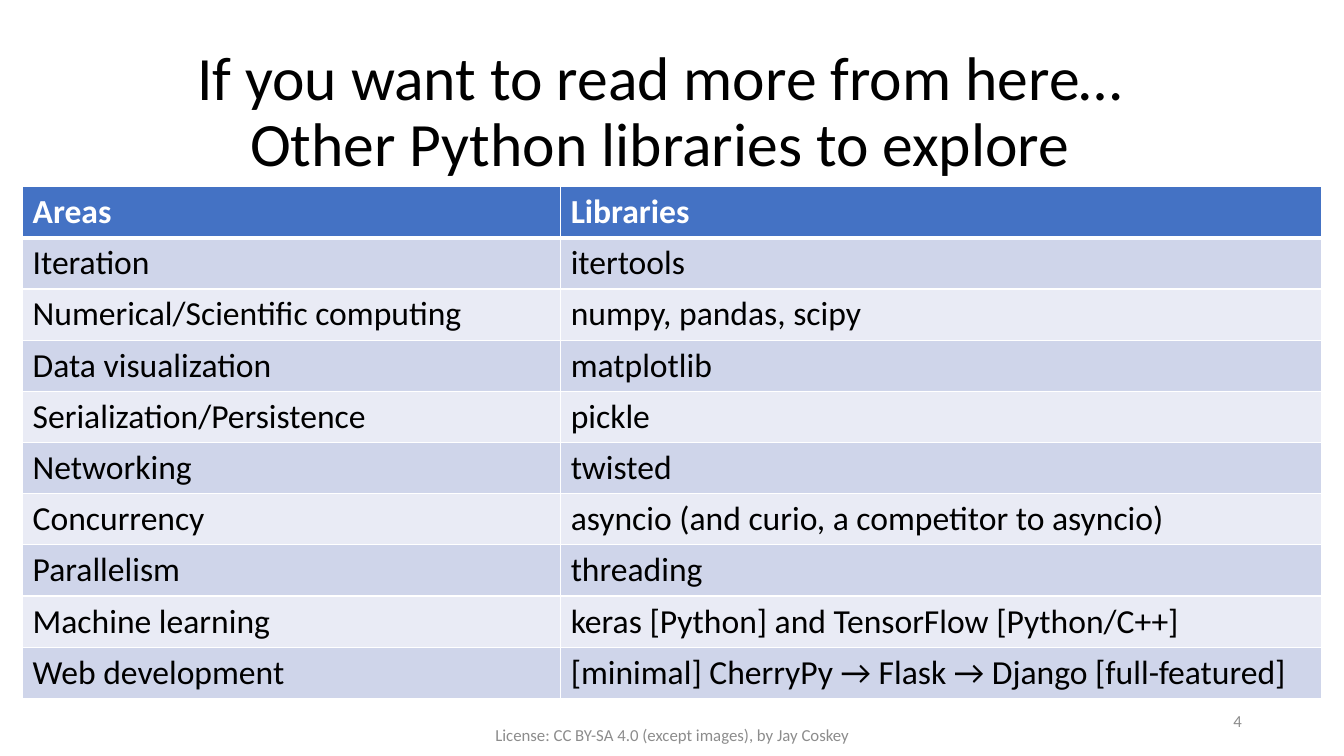
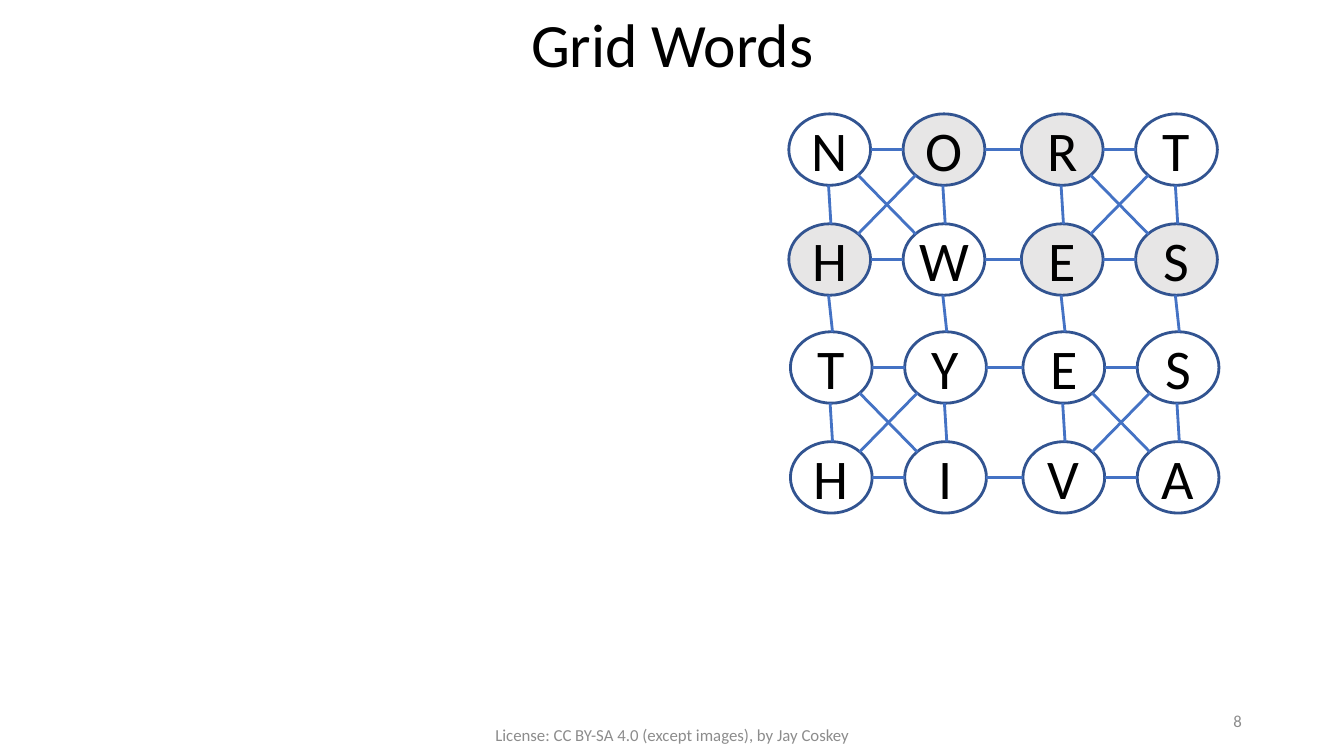
from dataclasses import dataclass
from itertools import product
from typing import Any

from lxml.etree import SubElement
from pptx import Presentation
from pptx.dml.color import RGBColor
from pptx.enum.shapes import MSO_CONNECTOR as Connector, MSO_SHAPE as Preset
from pptx.enum.text import MSO_ANCHOR as Anchor, MSO_AUTO_SIZE as AutoSize, PP_ALIGN as Align
from pptx.oxml.ns import qn
from pptx.util import Cm, Pt

FONT = "Calibri"
BLACK, WHITE, GRAY = "000000", "FFFFFF", "8C8C8C"
BLUE, DARK_BLUE, HIGHLIGHT = "4472C4", "325491", "E7E6E6"
BANDS = ("E9EBF5", "CFD5EA")

FRAME_FORMAT = {"word_wrap": True, "auto_size": AutoSize.NONE, "vertical_anchor": Anchor.MIDDLE}
LETTER_FORMAT = {
    "word_wrap": False,
    "margin_left": 0,
    "margin_right": 0,
    "margin_top": 0,
    "margin_bottom": 0,
}

LICENSE = "License: CC BY-SA 4.0 (except images), by Jay Coskey"

LIBRARIES = (
    ("Areas", "Libraries"),
    ("Iteration", "itertools"),
    ("Numerical/Scientific computing", "numpy, pandas, scipy"),
    ("Data visualization", "matplotlib"),
    ("Serialization/Persistence", "pickle"),
    ("Networking", "twisted"),
    ("Concurrency", "asyncio (and curio, a competitor to asyncio)"),
    ("Parallelism", "threading"),
    ("Machine learning", "keras [Python] and TensorFlow [Python/C++]"),
    ("Web development", "[minimal] CherryPy → Flask → Django [full-featured]"),
)
COLUMN_WIDTHS = (13.56, 19.18)
ROW_HEIGHT = 1.29

GRID_LETTERS = ("NORT", "HWES", "TYES", "HIVA")
SHADED_CELLS = {(0, 1), (0, 2), (1, 0), (1, 2), (1, 3)}
GRID_LEFTS = (19.88, 22.76, 25.74, 28.62)
GRID_TOPS = (2.87, 5.64, 8.36, 11.13)
LOWER_ROW_SHIFT = 0.04
NODE_WIDTH, NODE_HEIGHT = 2.06, 1.8
DIAGONAL_X, DIAGONAL_Y = 0.71, 0.64
SLANT = 0.03


@dataclass(frozen=True)
class Box:
    left: float
    top: float
    width: float
    height: float

    def lengths(self) -> tuple[Cm, Cm, Cm, Cm]:
        return Cm(self.left), Cm(self.top), Cm(self.width), Cm(self.height)


@dataclass(frozen=True)
class Node:
    letter: str
    x: float
    y: float
    shaded: bool


@dataclass(frozen=True)
class Link:
    start_x: float
    start_y: float
    end_x: float
    end_y: float


def color(value: str) -> RGBColor:
    return RGBColor.from_string(value)


def apply_format(target: Any, values: dict[str, Any]) -> None:
    for name, value in values.items():
        setattr(target, name, value)


def write_text(
    frame: Any,
    lines: tuple[str, ...],
    size: float,
    ink: str = BLACK,
    align: Align = Align.CENTER,
    bold: bool = False,
    line_spacing: float = 1.0,
) -> None:
    paragraph = frame.paragraphs[0]
    apply_format(paragraph, {"alignment": align, "line_spacing": line_spacing})
    for index, line in enumerate(lines):
        if index:
            paragraph.add_line_break()
        run = paragraph.add_run()
        run.text = line
        apply_format(run.font, {"name": FONT, "size": Pt(size), "bold": bold})
        run.font.color.rgb = color(ink)


def add_footer(slide: Any, box: Box, text: str, align: Align) -> None:
    frame = slide.shapes.add_textbox(*box.lengths()).text_frame
    apply_format(frame, FRAME_FORMAT)
    write_text(frame, (text,), 12, GRAY, align)


def add_slide(presentation: Any, title_lines: tuple[str, ...], title_box: Box, number: str) -> Any:
    slide = presentation.slides.add_slide(presentation.slide_layouts[5])
    title = slide.shapes.title
    for name, length in zip(("left", "top", "width", "height"), title_box.lengths()):
        setattr(title, name, length)
    apply_format(title.text_frame, FRAME_FORMAT)
    write_text(title.text_frame, title_lines, 44, line_spacing=0.9)
    add_footer(slide, Box(23.93, 17.65, 7.62, 1.02), number, Align.RIGHT)
    add_footer(slide, Box(11.23, 18.01, 11.43, 1.02), LICENSE, Align.CENTER)
    return slide


def set_borders(cell: Any, widths: dict[str, float]) -> None:
    properties = cell._tc.get_or_add_tcPr()
    for side, width in widths.items():
        border = SubElement(properties, qn(f"a:ln{side}"), w=str(Pt(width)))
        fill = SubElement(border, qn("a:solidFill"))
        SubElement(fill, qn("a:srgbClr"), val=WHITE)


def add_library_table(slide: Any) -> None:
    box = Box(0.57, 4.7, sum(COLUMN_WIDTHS), ROW_HEIGHT * len(LIBRARIES))
    table = slide.shapes.add_table(len(LIBRARIES), len(COLUMN_WIDTHS), *box.lengths()).table
    for column, width in zip(table.columns, COLUMN_WIDTHS):
        column.width = Cm(width)
    for row, texts in enumerate(LIBRARIES):
        table.rows[row].height = Cm(ROW_HEIGHT)
        header = row == 0
        for column, text in enumerate(texts):
            cell = table.cell(row, column)
            top, bottom = (3 if row == 1 else 1), (3 if header else 1)
            set_borders(cell, {"L": 1, "R": 1, "T": top, "B": bottom})
            cell.fill.solid()
            cell.fill.fore_color.rgb = color(BLUE if header else BANDS[row % 2])
            ink = WHITE if header else BLACK
            write_text(cell.text_frame, (text,), 24, ink, Align.LEFT, header)


def grid_nodes() -> list[list[Node]]:
    return [
        [
            Node(
                letter,
                GRID_LEFTS[column] + NODE_WIDTH / 2 + (LOWER_ROW_SHIFT if row > 1 else 0),
                GRID_TOPS[row] + NODE_HEIGHT / 2,
                (row, column) in SHADED_CELLS,
            )
            for column, letter in enumerate(letters)
        ]
        for row, letters in enumerate(GRID_LETTERS)
    ]


def link_nodes(start: Node, end: Node, offset_x: float, offset_y: float) -> Link:
    return Link(start.x + offset_x, start.y + offset_y, end.x - offset_x, end.y - offset_y)


def grid_links(nodes: list[list[Node]]) -> list[Link]:
    links = [
        link_nodes(left, right, NODE_WIDTH / 2, 0)
        for row in nodes
        for left, right in zip(row, row[1:])
    ]
    links += [
        link_nodes(upper, lower, -SLANT, NODE_HEIGHT / 2)
        for column in zip(*nodes)
        for upper, lower in zip(column, column[1:])
    ]
    for row, column in product((0, 2), repeat=2):
        upper, lower = nodes[row], nodes[row + 1]
        links.append(link_nodes(upper[column], lower[column + 1], DIAGONAL_X, DIAGONAL_Y))
        links.append(link_nodes(lower[column], upper[column + 1], DIAGONAL_X, -DIAGONAL_Y))
    return links


def draw_node(slide: Any, node: Node) -> None:
    box = Box(node.x - NODE_WIDTH / 2, node.y - NODE_HEIGHT / 2, NODE_WIDTH, NODE_HEIGHT)
    shape = slide.shapes.add_shape(Preset.OVAL, *box.lengths())
    shape.shadow.inherit = False
    if node.shaded:
        shape.fill.solid()
        shape.fill.fore_color.rgb = color(HIGHLIGHT)
    else:
        shape.fill.background()
    shape.line.color.rgb = color(DARK_BLUE)
    shape.line.width = Pt(2)
    apply_format(shape.text_frame, FRAME_FORMAT | LETTER_FORMAT)
    write_text(shape.text_frame, (node.letter,), 40)


def draw_link(slide: Any, link: Link) -> None:
    connector = slide.shapes.add_connector(
        Connector.STRAIGHT, Cm(link.start_x), Cm(link.start_y), Cm(link.end_x), Cm(link.end_y)
    )
    connector.line.color.rgb = color(BLUE)
    connector.line.width = Pt(2)
    SubElement(connector._element.spPr, qn("a:effectLst"))


def add_letter_grid(slide: Any) -> None:
    nodes = grid_nodes()
    for row in nodes:
        for node in row:
            draw_node(slide, node)
    for link in grid_links(nodes):
        draw_link(slide, link)


def main() -> None:
    presentation = Presentation()
    presentation.slide_width = Cm(33.87)
    presentation.slide_height = Cm(19.05)

    reading_title = ("If you want to read more from here…", "Other Python libraries to explore")
    reading = add_slide(presentation, reading_title, Box(2.34, 1.02, 28.6, 3.68), "4")
    add_library_table(reading)

    grid_words = add_slide(presentation, ("Grid Words",), Box(2.34, 0.05, 29.21, 2.29), "8")
    add_letter_grid(grid_words)

    presentation.save("out.pptx")


if __name__ == "__main__":
    main()
